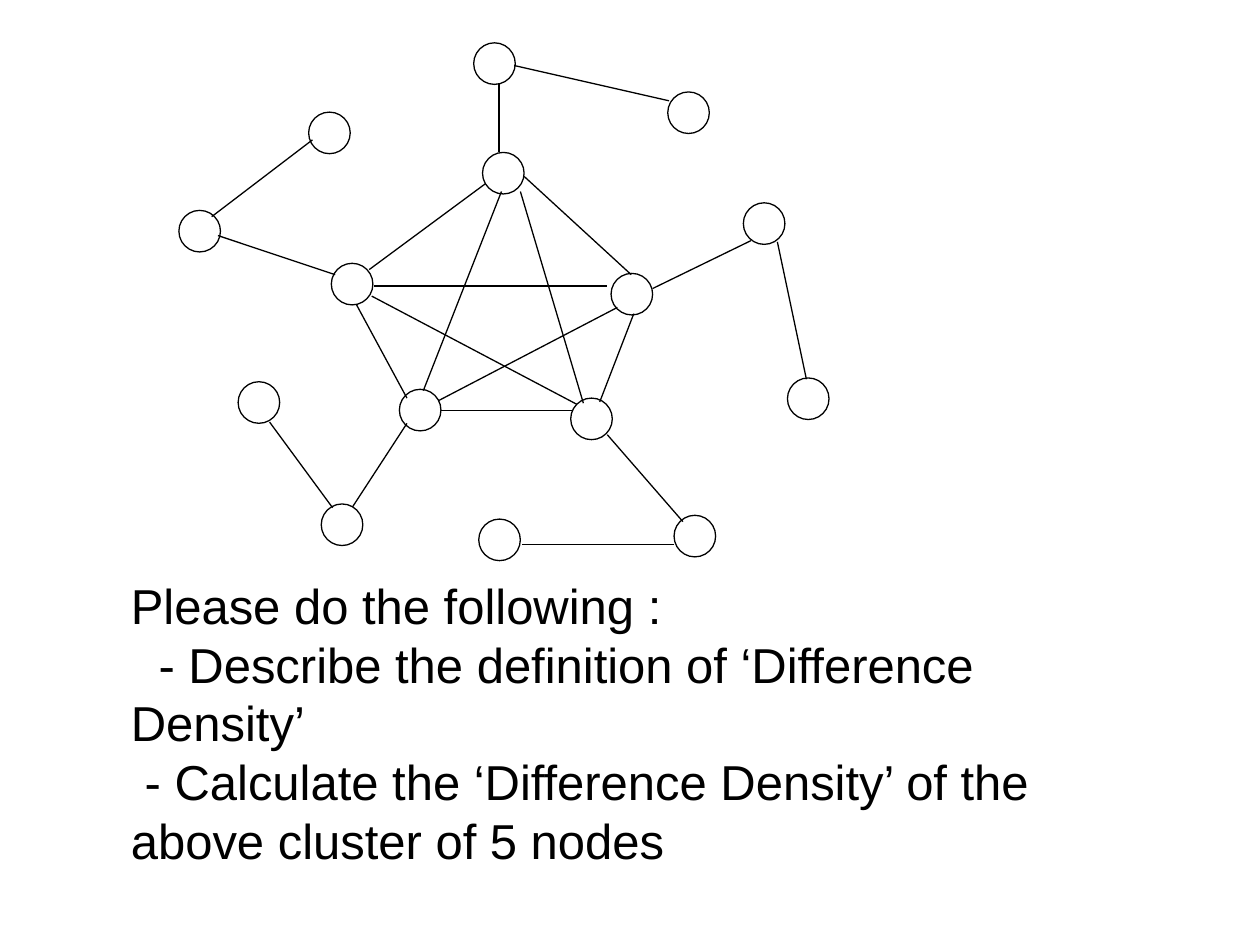
from dataclasses import dataclass

from lxml.etree import SubElement
from pptx import Presentation
from pptx.dml.color import RGBColor
from pptx.enum.shapes import MSO_CONNECTOR, MSO_SHAPE
from pptx.enum.text import MSO_AUTO_SIZE
from pptx.oxml.ns import qn
from pptx.shapes.shapetree import GroupShapes
from pptx.text.text import TextFrame
from pptx.util import Inches, Pt

BLACK = RGBColor(0x00, 0x00, 0x00)
FONT = "Arial"
FONT_SIZE = Pt(28)
LINE_WIDTH = Pt(0.75)

# The slide is a grid of 100 columns by 75 rows
WIDTH, HEIGHT = Inches(10), Inches(7.5)
COLUMN, ROW = WIDTH / 100, HEIGHT / 75
NODE_SIZE = 3.3


def across(columns: float) -> int:
    return round(columns * COLUMN)


def down(rows: float) -> int:
    return round(rows * ROW)


@dataclass(frozen=True)
class Node:
    left: float
    top: float


@dataclass(frozen=True)
class Link:
    start: tuple[float, float]
    end: tuple[float, float]


@dataclass(frozen=True)
class Task:
    text: str
    indent: float = 0


CLUSTER_NODES = [
    Node(38.3, 12.1), Node(26.3, 20.9), Node(48.5, 21.7),
    Node(31.7, 30.9), Node(45.3, 31.6),
]
BRANCH_NODES = [
    Node(37.6, 3.4), Node(14.2, 16.7), Node(59, 16.1),
    Node(25.5, 40), Node(53.5, 40.9),
]
LEAF_NODES = [
    Node(62.5, 30), Node(24.5, 8.9), Node(18.9, 30.3),
    Node(38, 41.2), Node(53, 7.3),
]

# Every pair of cluster nodes is linked
CLUSTER_LINKS = [
    Link((29.3, 21.4), (38.5, 14.6)),
    Link((39.8, 15.2), (33.6, 31)),
    Link((41.3, 15.2), (46.3, 32)),
    Link((28.3, 24.2), (32.3, 31.6)),
    Link((35, 32.6), (45.4, 32.6)),
    Link((29.7, 22.7), (48.2, 22.7)),
    Link((41.6, 14), (50.1, 21.8)),
    Link((50.3, 24.9), (47.6, 31.9)),
    Link((29.5, 23.5), (45.8, 32.1)),
    Link((34.8, 31.8), (49, 24.4)),
]
# Cluster to branch, then branch to leaf
OUTER_LINKS = [
    Link((17.3, 18.7), (26.6, 21.8)),
    Link((51.8, 22.9), (59.6, 19.1)),
    Link((48.2, 34.5), (54.2, 41.4)),
    Link((32.3, 33.6), (28, 40.2)),
    Link((39.6, 6.7), (39.6, 12.1)),
    Link((40.8, 5.2), (53.1, 8)),
    Link((61.7, 19.2), (64, 30.1)),
    Link((53.5, 43.2), (41.4, 43.2)),
    Link((21.4, 33.5), (26.4, 40.3)),
    Link((16.8, 17.2), (24.8, 11.1)),
]

TASKS = [
    Task("Please do the following :"),
    Task("- Describe the definition of ‘Difference Density’", 2.2),
    Task("- Calculate the ‘Difference Density’ of the above cluster of 5 nodes", 1.1),
]


def draw_node(shapes: GroupShapes, node: Node) -> None:
    circle = shapes.add_shape(MSO_SHAPE.OVAL, across(node.left), down(node.top),
                              across(NODE_SIZE), down(NODE_SIZE))
    circle.shadow.inherit = False
    circle.fill.background()
    circle.line.color.rgb = BLACK
    circle.line.width = LINE_WIDTH


def draw_link(shapes: GroupShapes, link: Link) -> None:
    (start_x, start_y), (end_x, end_y) = link.start, link.end
    line = shapes.add_connector(MSO_CONNECTOR.STRAIGHT, across(start_x), down(start_y),
                                across(end_x), down(end_y))
    line.line.color.rgb = BLACK
    line.line.width = LINE_WIDTH
    SubElement(line._element.spPr, qn("a:effectLst"))


def write_tasks(frame: TextFrame, tasks: list[Task]) -> None:
    for index, task in enumerate(tasks):
        para = frame.paragraphs[0] if index == 0 else frame.add_paragraph()
        para.text = task.text
        # Only the first line of a task is indented
        properties = para._p.get_or_add_pPr()
        properties.set("marL", "0")
        properties.set("indent", str(across(task.indent)))
        para.line_spacing = Pt(33.5)
        para.font.name = FONT
        para.font.size = FONT_SIZE
        para.font.color.rgb = BLACK


def main() -> None:
    deck = Presentation()
    deck.slide_width, deck.slide_height = WIDTH, HEIGHT
    page = deck.slides.add_slide(deck.slide_layouts[6])

    # Network diagram
    network = page.shapes.add_group_shape()
    for node in CLUSTER_NODES + BRANCH_NODES + LEAF_NODES:
        draw_node(network.shapes, node)
    for link in CLUSTER_LINKS + OUTER_LINKS:
        draw_link(network.shapes, link)

    # Exercise text
    box = page.shapes.add_textbox(across(9.4), down(45.2), across(77.8), down(24.4))
    box.text_frame.word_wrap = True
    box.text_frame.auto_size = MSO_AUTO_SIZE.SHAPE_TO_FIT_TEXT
    write_tasks(box.text_frame, TASKS)

    deck.save("out.pptx")


if __name__ == "__main__":
    main()
